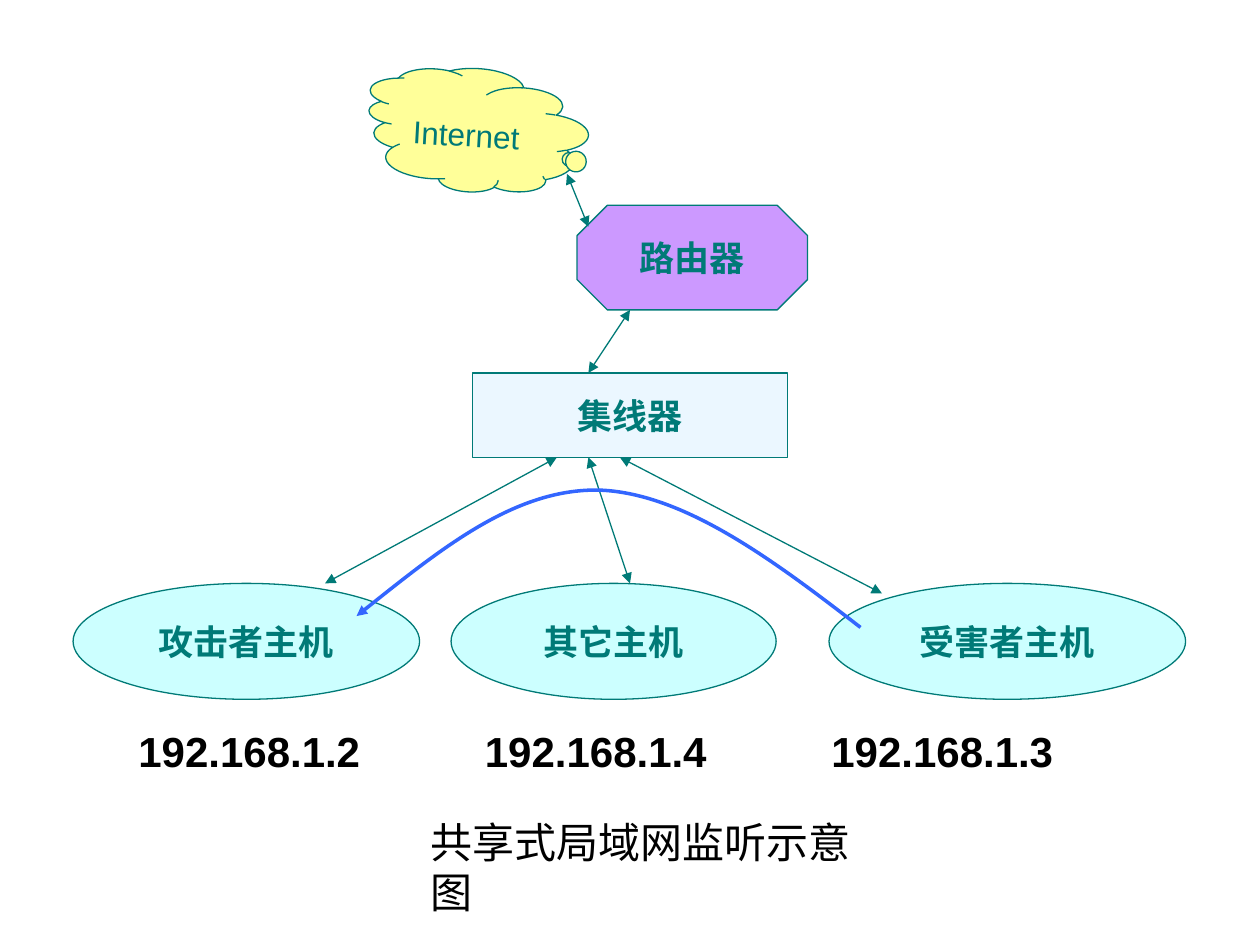
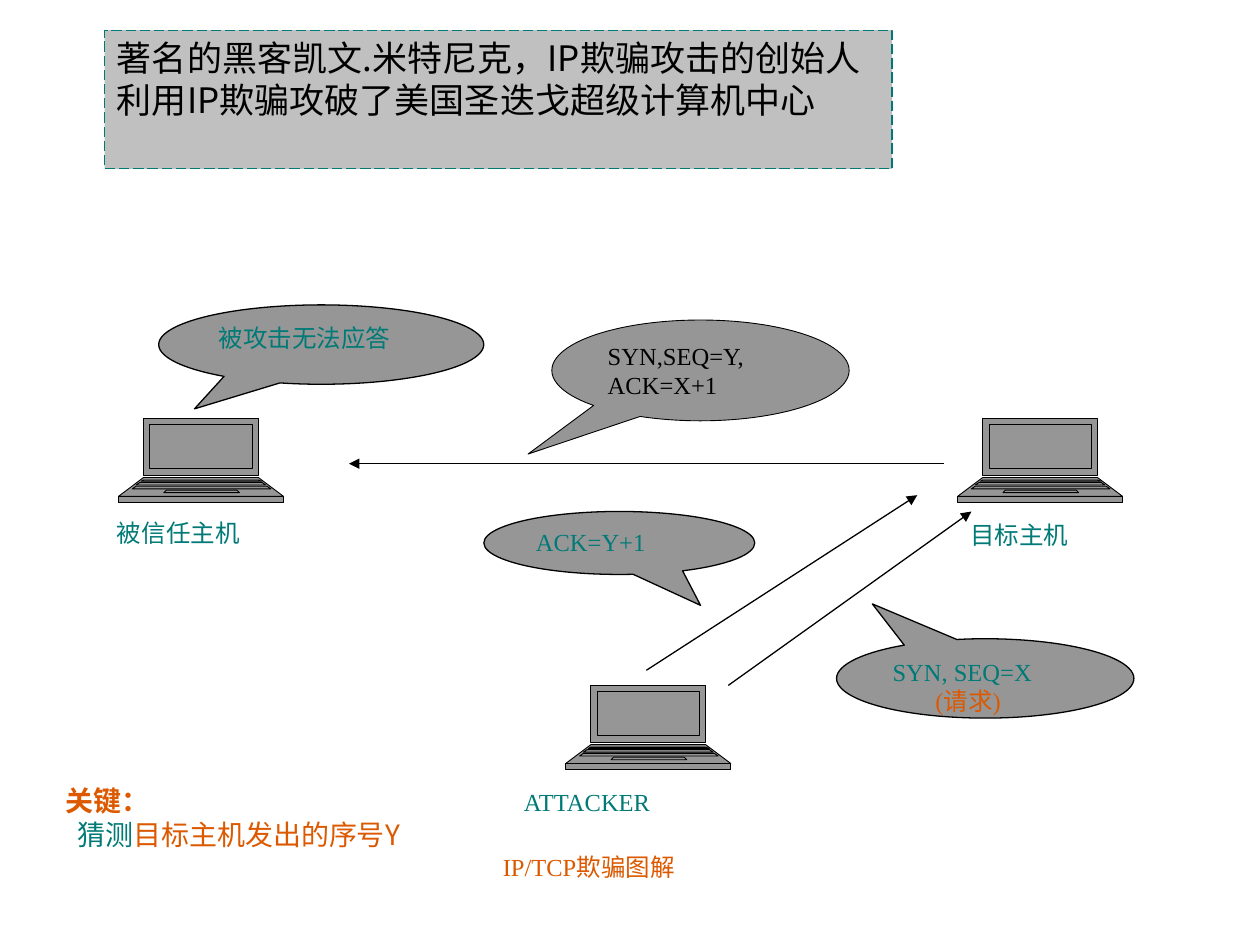
"""Build two slides on network sniffing and IP spoofing."""
from lxml.etree import SubElement
from pptx import Presentation
from pptx.dml.color import RGBColor
from pptx.enum.dml import MSO_LINE
from pptx.enum.shapes import MSO_CONNECTOR, MSO_SHAPE
from pptx.enum.text import MSO_ANCHOR, MSO_AUTO_SIZE, PP_ALIGN
from pptx.oxml.ns import qn
from pptx.util import Pt

PX = 9144
TEAL = RGBColor(0x00, 0x7A, 0x77)
BLACK = RGBColor(0x00, 0x00, 0x00)
ORANGE = RGBColor(0xDC, 0x59, 0x00)
BLUE = RGBColor(0x33, 0x66, 0xFF)
ICE = RGBColor(0xEB, 0xF7, 0xFF)
CYAN = RGBColor(0xCC, 0xFF, 0xFF)
LILAC = RGBColor(0xCC, 0x99, 0xFF)
YELLOW = RGBColor(0xFF, 0xFF, 0x99)
GRAY = RGBColor(0x96, 0x96, 0x96)
SILVER = RGBColor(0xC0, 0xC0, 0xC0)

NODE = {"name": "Arial", "size": Pt(20), "bold": True, "color": TEAL}
CLOUD = {**NODE, "size": Pt(18), "bold": False}
ADDRESS = {**NODE, "size": Pt(24), "color": BLACK}
CAPTION = {**ADDRESS, "bold": False}
LABEL = {"name": "Times New Roman", "size": Pt(14), "bold": False, "color": TEAL}
DARK = {**LABEL, "color": BLACK}
ACCENT = {**LABEL, "color": ORANGE}
KEY = {"name": "Noto Sans CJK SC", "size": Pt(16), "bold": True, "color": ORANGE}
GUESS = {**KEY, "bold": False, "color": TEAL}
TARGET = {**GUESS, "color": ORANGE}
BANNER = {**GUESS, "size": Pt(20), "color": BLACK}

LAPTOP = [
    (20, 111, 0, 20, 111, 45),
    (20, 111, 47, 0, 131, 62),
    (0, 131, 62, 0, 131, 67),
    (25, 106, 5, 25, 106, 40),
    (20, 111, 49, 18, 114, 50),
    (38, 94, 57, 36, 96, 59),
    (17, 114, 51, 14, 117, 53),
    (14, 118, 54, 11, 121, 56),
]


class Page:
    """Hold the deck style and the current slide."""

    def __init__(self, deck):
        self.deck = deck
        self.slide = None

    def start(self):
        self.slide = self.deck.slides.add_slide(self.deck.slide_layouts[5])

    def letter(self, shape, lines, align=PP_ALIGN.LEFT, anchor=MSO_ANCHOR.TOP,
               wrap=True, inset=(10, 5), indent=0):
        frame = shape.text_frame
        side, edge = (gap * PX for gap in inset)
        form = {"word_wrap": wrap, "auto_size": MSO_AUTO_SIZE.NONE,
                "vertical_anchor": anchor, "margin_left": side,
                "margin_right": side, "margin_top": edge, "margin_bottom": edge}
        for key, value in form.items():
            setattr(frame, key, value)
        for i, line in enumerate(lines):
            para = frame.add_paragraph() if i else frame.paragraphs[0]
            para.alignment = align
            for words, style in line:
                run = para.add_run()
                run.text = words
                for key, value in style.items():
                    if key == "color":
                        run.font.color.rgb = value
                    else:
                        setattr(run.font, key, value)
        if indent:
            last = list(shape.element.iter(qn("a:p")))[-1]
            last.get_or_add_pPr().set("marL", str(indent * PX))

    def title(self, box, words, style, **opts):
        shape = self.slide.shapes.title
        for key, value in zip(("left", "top", "width", "height"), box):
            setattr(shape, key, value * PX)
        self.letter(shape, [[(words, style)]], **opts)

    def text(self, box, lines, **opts):
        shape = self.slide.shapes.add_textbox(*(n * PX for n in box))
        self.letter(shape, lines, **opts)

    def paint(self, shape, fill, color, width):
        shape.shadow.inherit = False
        if fill is None:
            shape.fill.background()
        else:
            shape.fill.solid()
            shape.fill.fore_color.rgb = fill
        shape.line.color.rgb = color
        shape.line.width = Pt(width)

    def shape(self, kind, box, fill, lines, color=TEAL, width=0.75,
              adjust=(), **opts):
        shape = self.slide.shapes.add_shape(kind, *(n * PX for n in box))
        self.paint(shape, fill, color, width)
        for i, value in enumerate(adjust):
            shape.adjustments[i] = value
        self.letter(shape, lines, **opts)
        return shape

    def node(self, kind, box, fill, words, adjust=()):
        self.shape(kind, box, fill, [[(words, NODE)]], adjust=adjust,
                   align=PP_ALIGN.CENTER, anchor=MSO_ANCHOR.MIDDLE, wrap=False)

    def bubble(self, box, adjust, lines, width=0.75, **opts):
        self.shape(MSO_SHAPE.OVAL_CALLOUT, box, GRAY, lines, BLACK, width,
                   adjust, **opts)

    def tips(self, shape, *ends):
        line = shape.element.spPr.find(qn("a:ln"))
        for end in ends:
            SubElement(line, qn(f"a:{end}"), type="triangle")

    def arrow(self, ends, color, *tips):
        line = self.slide.shapes.add_connector(
            MSO_CONNECTOR.STRAIGHT, *(n * PX for n in ends))
        line.line.color.rgb = color
        line.line.width = Pt(0.75)
        self.tips(line, *tips)
        SubElement(line.element.spPr, qn("a:effectLst"))

    def curve(self, points):
        pen = self.slide.shapes.build_freeform(*points[0], scale=PX)
        pen.add_line_segments(points[1:], close=False)
        shape = pen.convert_to_shape()
        self.paint(shape, None, BLUE, 2)
        self.tips(shape, "tailEnd")
        trace = next(shape.element.iter(qn("a:path")))
        steps = trace.findall(qn("a:lnTo"))
        for i in range(0, len(steps), 3):
            bend = SubElement(trace, qn("a:cubicBezTo"))
            for step in steps[i:i + 3]:
                bend.append(step[0])
                trace.remove(step)

    def laptop(self, left, top):
        pen = None
        for a, b, high, c, d, low in LAPTOP:
            spots = [(left + x, top + y)
                     for x, y in ((a, high), (b, high), (d, low), (c, low))]
            if pen is None:
                pen = self.slide.shapes.build_freeform(*spots[0], scale=PX)
            else:
                pen.move_to(*spots[0])
            pen.add_line_segments(spots[1:], close=True)
        shape = pen.convert_to_shape()
        self.paint(shape, GRAY, BLACK, 0.5)
        trace = next(shape.element.iter(qn("a:path")))
        group = trace.getparent()
        for step in list(trace):
            if step.tag == qn("a:moveTo"):
                part = SubElement(group, qn("a:path"), dict(trace.attrib))
            part.append(step)
        group.remove(trace)


def sniff(page):
    """Draw the shared network under attack."""
    page.start()
    page.title((332, 643, 386, 50), "共享式局域网监听示意图", CAPTION, wrap=False)
    page.node(MSO_SHAPE.RECTANGLE, (375, 296, 250, 67), ICE, "集线器")
    page.node(MSO_SHAPE.OCTAGON, (458, 163, 183, 83), LILAC, "路由器", [0.29])
    cloud = page.shape(MSO_SHAPE.CLOUD_CALLOUT, (330, 16, 98, 175), YELLOW,
                       [[("Internet", CLOUD)]], adjust=(-0.19, 0.42),
                       align=PP_ALIGN.CENTER, anchor=MSO_ANCHOR.MIDDLE,
                       inset=(5, 10))
    cloud.rotation = 273.3
    next(cloud.element.iter(qn("a:bodyPr"))).set("vert", "eaVert")
    hosts = [(58, 275, "攻击者主机", 100, "192.168.1.2"),
             (358, 258, "其它主机", 375, "192.168.1.4"),
             (658, 283, "受害者主机", 650, "192.168.1.3")]
    for left, width, name, start, address in hosts:
        page.node(MSO_SHAPE.OVAL, (left, 463, width, 92), CYAN, name)
        page.text((start, 571, 300, 50), [[(address, ADDRESS)]])
    for ends in ((450, 138, 467, 180), (500, 246, 467, 296),
                 (442, 363, 258, 463), (492, 363, 700, 471),
                 (467, 363, 500, 463)):
        page.arrow(ends, TEAL, "headEnd", "tailEnd")
    page.curve([(683, 498), (613, 444), (542, 391), (475, 389),
                (408, 388), (346, 439), (283, 489)])


def spoof(page):
    """Draw the steps of IP spoofing."""
    page.start()
    page.title((389, 671, 473, 50), "IP/TCP欺骗图解", ACCENT)
    for box, name in (((760, 408, 129, 38), "目标主机"),
                      ((83, 406, 161, 38), "被信任主机"),
                      ((406, 620, 193, 38), "ATTACKER")):
        page.text(box, [[(name, LABEL)]])
    for spot in ((94, 332), (760, 332), (449, 544)):
        page.laptop(*spot)
    for ends in ((749, 368, 277, 368), (578, 544, 771, 406),
                 (513, 532, 728, 393)):
        page.arrow(ends, BLACK, "tailEnd")
    page.bubble((438, 254, 236, 80), (-0.58, 0.83),
                [[("SYN,SEQ=Y, ACK=X+1", DARK)]], 0.5)
    page.bubble((664, 507, 236, 63), (-0.38, -0.94),
                [[("SYN, SEQ=X", LABEL)], [("(请求)", ACCENT)]],
                align=PP_ALIGN.JUSTIFY, indent=34)
    page.bubble((384, 406, 215, 50), (0.3, 0.99), [[("ACK=Y+1", LABEL)]])
    page.bubble((126, 242, 258, 63), (-0.39, 0.81), [[("被攻击无法应答", LABEL)]])
    page.text((42, 617, 325, 64),
              [[("关键：", KEY)], [("猜测", GUESS), ("目标主机发出的序号Y", TARGET)]],
              indent=10)
    banner = page.shape(
        MSO_SHAPE.RECTANGLE, (83, 24, 625, 110), SILVER,
        [[("著名的黑客凯文.米特尼克，IP欺骗攻击的创始人", BANNER)],
         [("利用IP欺骗攻破了美国圣迭戈超级计算机中心", BANNER)]])
    banner.line.dash_style = MSO_LINE.LONG_DASH


def main():
    """Build and save the deck."""
    deck = Presentation()
    deck.slide_width, deck.slide_height = 1000 * PX, 750 * PX
    page = Page(deck)
    sniff(page)
    spoof(page)
    deck.save("out.pptx")


if __name__ == "__main__":
    main()
